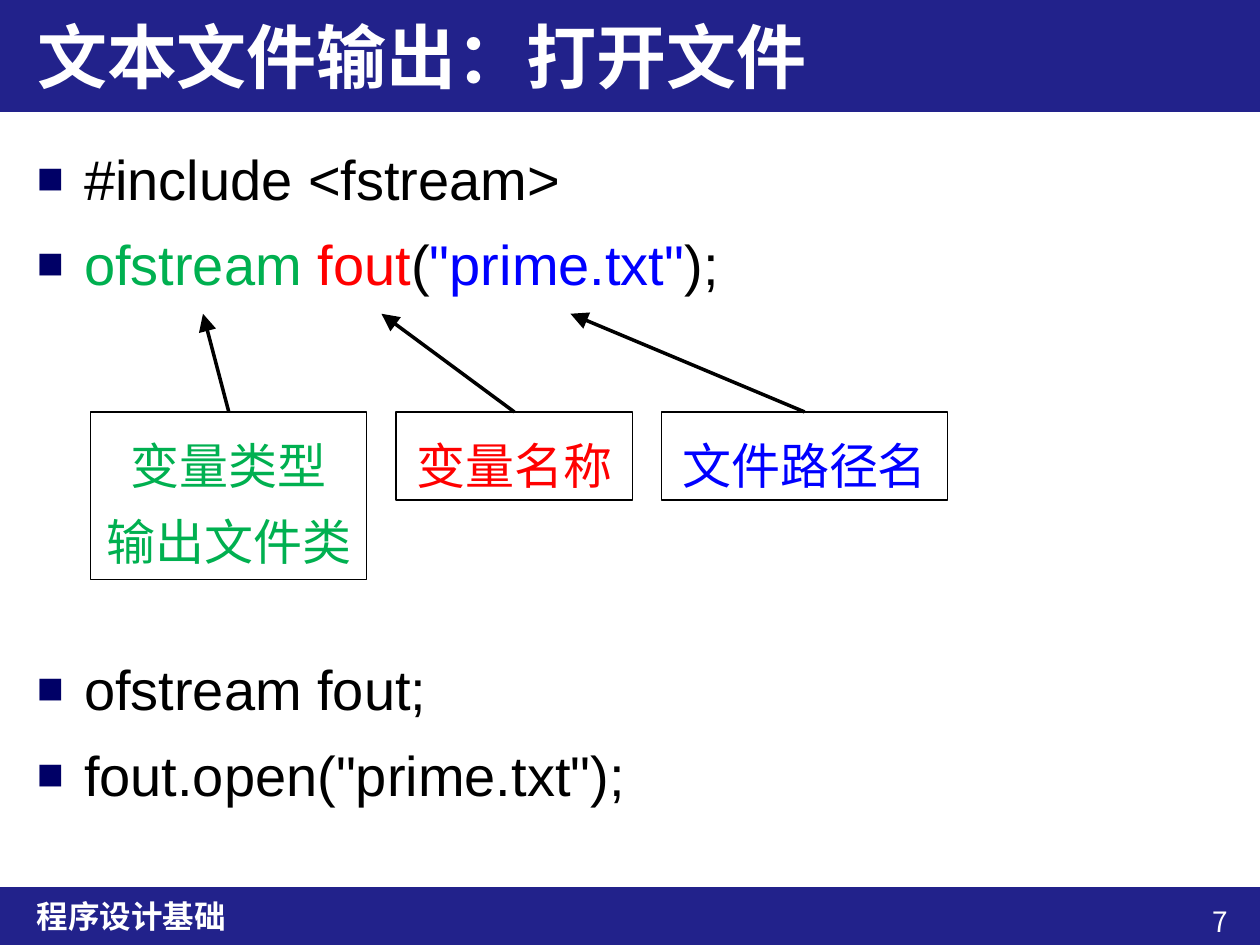
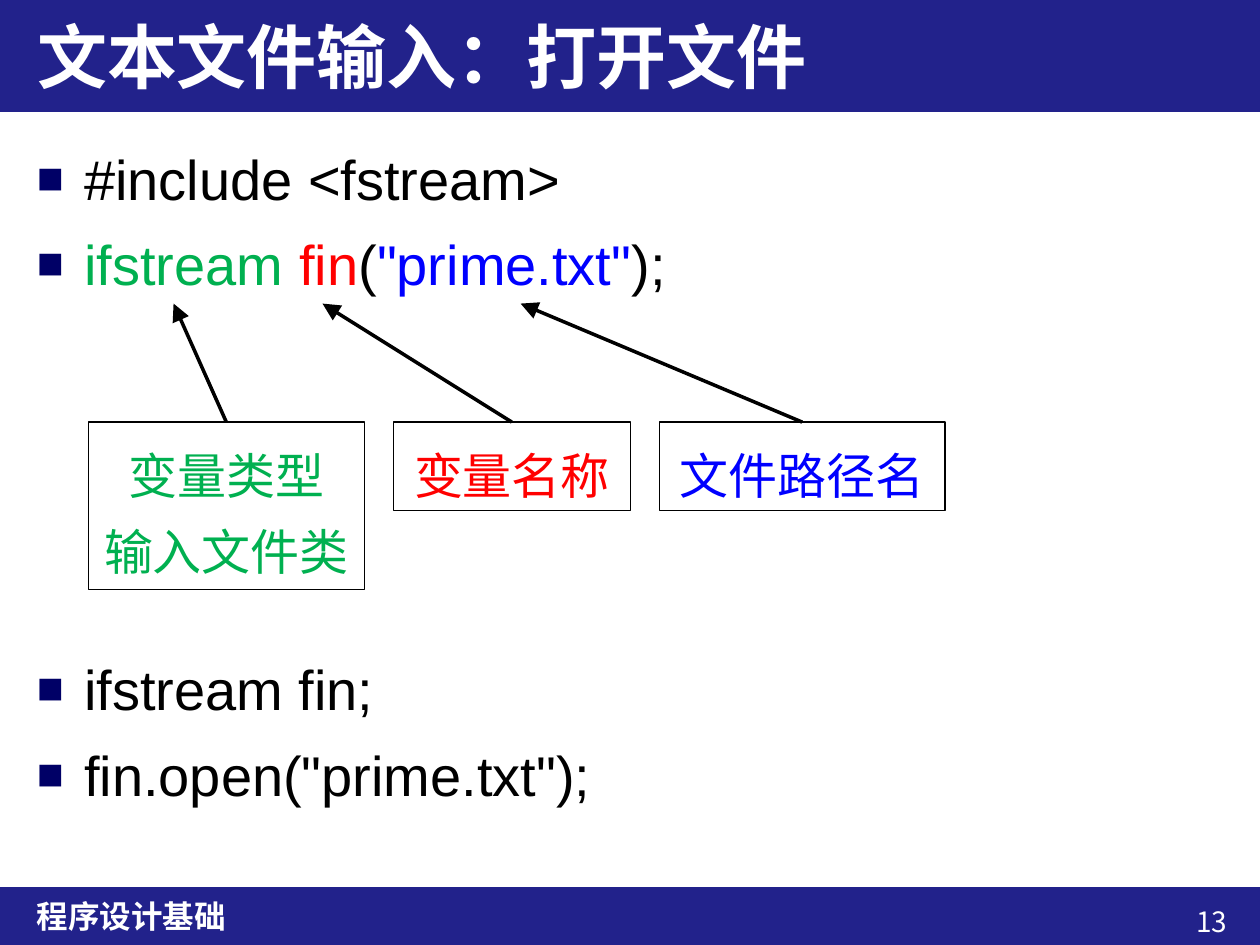
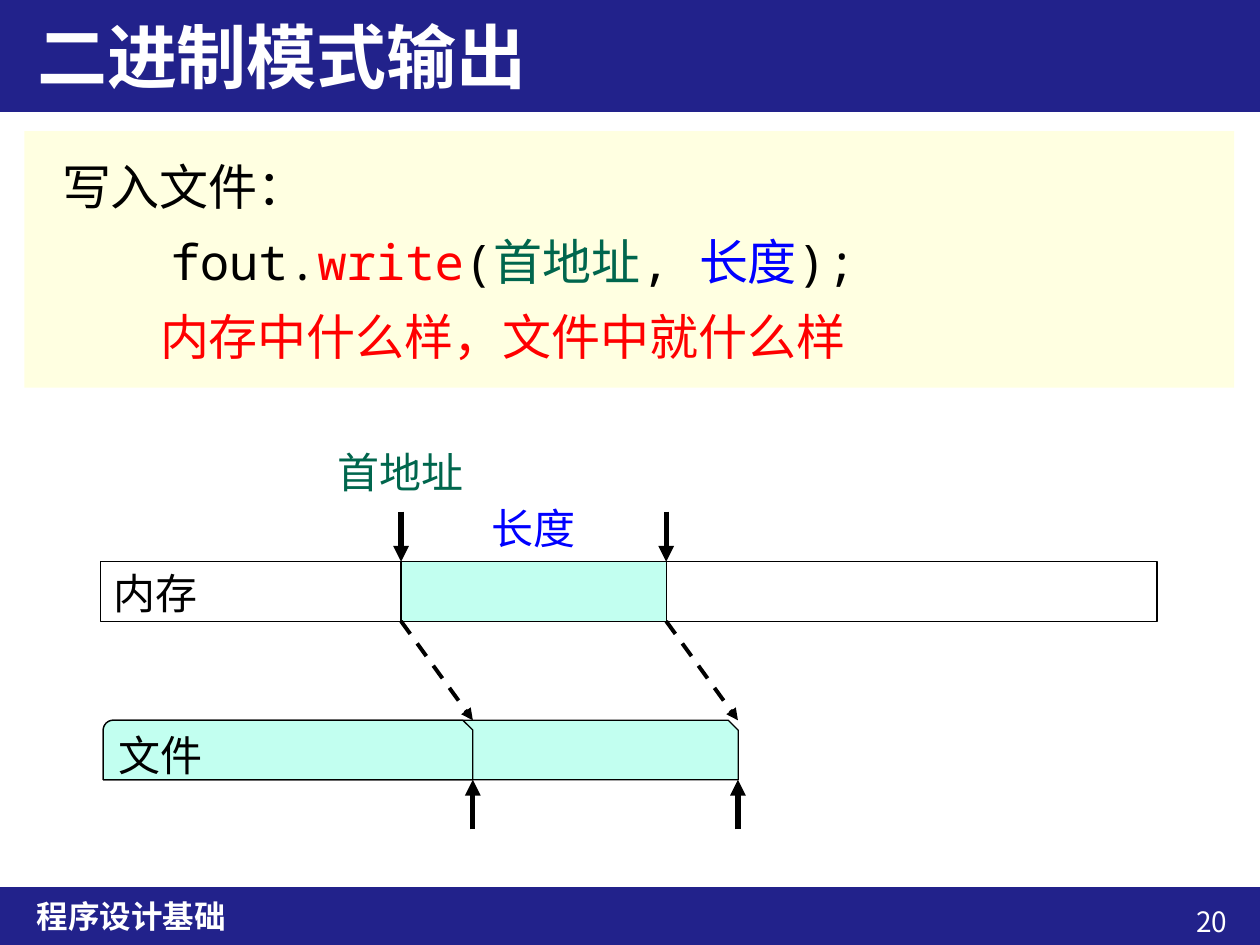
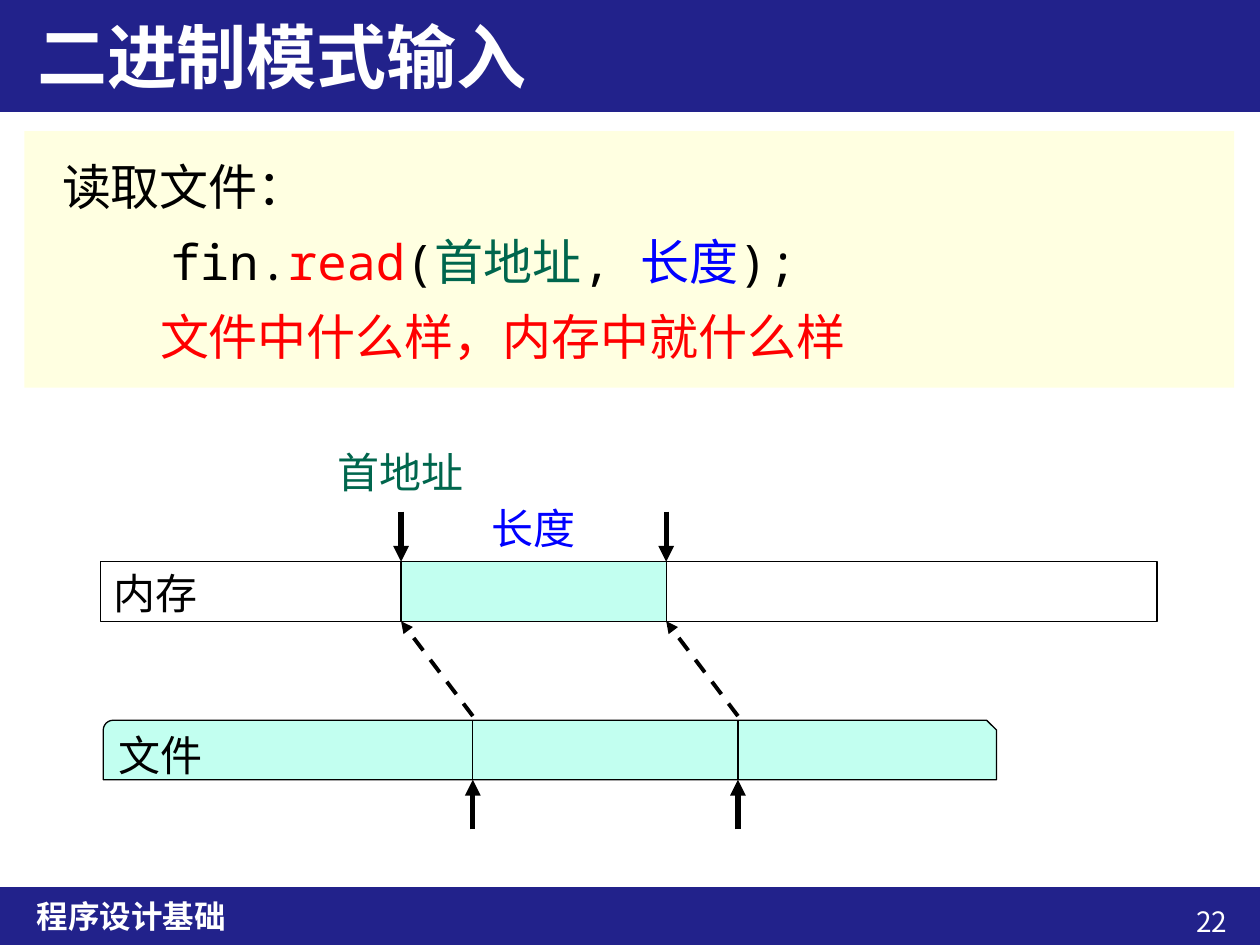
from lxml import etree
from pptx import Presentation
from pptx.dml.color import RGBColor
from pptx.enum.dml import MSO_LINE
from pptx.enum.shapes import MSO_CONNECTOR, MSO_SHAPE
from pptx.enum.text import MSO_ANCHOR, PP_ALIGN
from pptx.oxml.ns import qn
from pptx.util import Pt

RECT, SNIP = MSO_SHAPE.RECTANGLE, MSO_SHAPE.SNIP_ROUND_RECTANGLE
STRAIGHT, DASH = MSO_CONNECTOR.STRAIGHT, MSO_LINE.DASH
TOP, MIDDLE = MSO_ANCHOR.TOP, MSO_ANCHOR.MIDDLE
LEFT, CENTER, RIGHT = PP_ALIGN.LEFT, PP_ALIGN.CENTER, PP_ALIGN.RIGHT

CJK, LATIN, MONO = "Noto Sans CJK SC", "Arial", "Noto Sans Mono"
NAVY, BULLET, WHITE, BLACK = "22228B", "000066", "FFFFFF", "000000"
GREEN, RED, BLUE, TEAL = "00B050", "FF0000", "0000FF", "00664D"
CREAM, MINT = "FFFFE1", "C2FFF0"

WIDTH, HEIGHT = 720, 540
MARGIN, CONTENT_WIDTH = 14, 691.2
TITLE_HEIGHT, FOOTER_TOP = 64, 507
COURSE = "程序设计基础"


def rgb(color):
    return RGBColor.from_string(color)


# Basic parts

def write(frame, lines, size=24, color=BLACK, font=CJK, bold=False,
          align=LEFT, anchor=TOP, spacing=None, before=0, bullet=False):
    """Each line is a string, or a list of (text, color) runs, or a dict
    with "runs" and its own "font", "indent" or "before"."""
    frame.word_wrap = True
    frame.vertical_anchor = anchor
    for number, line in enumerate(lines):
        own = line if isinstance(line, dict) else {"runs": line}
        runs = own["runs"]
        if isinstance(runs, str):
            runs = [(runs, color)]
        para = frame.paragraphs[0] if number == 0 else frame.add_paragraph()
        para.alignment = align
        if spacing:
            para.line_spacing = spacing
        if number:
            para.space_before = Pt(own.get("before", before))
        if bullet:
            add_bullet(para)
        elif "indent" in own:
            para._p.get_or_add_pPr().set("marL", str(Pt(own["indent"])))
        for text, run_color in runs:
            run = para.add_run()
            run.text = text
            run.font.name = own.get("font", font)
            run.font.size = Pt(size)
            run.font.bold = bold
            run.font.color.rgb = rgb(run_color)
            east_asian = etree.Element(qn("a:ea"), typeface=CJK)
            run.font._element.find(qn("a:latin")).addnext(east_asian)


def add_bullet(para):
    props = para._p.get_or_add_pPr()
    props.set("marL", str(Pt(27)))
    props.set("indent", str(Pt(-27)))
    bullet_color = etree.SubElement(props, qn("a:buClr"))
    etree.SubElement(bullet_color, qn("a:srgbClr"), val=BULLET)
    etree.SubElement(props, qn("a:buSzPct"), val="80000")
    etree.SubElement(props, qn("a:buFont"), typeface=LATIN)
    etree.SubElement(props, qn("a:buChar"), char="■")


def add_text(slide, box, lines, **formats):
    area = slide.shapes.add_textbox(*map(Pt, box))
    write(area.text_frame, lines, **formats)
    return area


def add_block(slide, box, fill=None, line=None, preset=RECT):
    block = slide.shapes.add_shape(preset, *map(Pt, box))
    block.shadow.inherit = False
    if fill:
        block.fill.solid()
        block.fill.fore_color.rgb = rgb(fill)
    else:
        block.fill.background()
    if line:
        block.line.color.rgb = rgb(line)
        block.line.width = Pt(0.75)
    else:
        block.line.fill.background()
    return block


def add_arrow(slide, start, end, width, dashed=False, head="med"):
    arrow = slide.shapes.add_connector(STRAIGHT, *map(Pt, (*start, *end)))
    arrow.line.color.rgb = rgb(BLACK)
    arrow.line.width = Pt(width)
    if dashed:
        arrow.line.dash_style = DASH
    etree.SubElement(arrow.line._get_or_add_ln(), qn("a:tailEnd"),
                     type="triangle", w=head, len=head)
    etree.SubElement(arrow._element.spPr, qn("a:effectLst"))
    return arrow


# Shared slide frame

def new_slide(deck, heading, page):
    slide = deck.slides.add_slide(deck.slide_layouts[5])
    title = slide.shapes.title
    title.left, title.top = Pt(MARGIN), Pt(0)
    title.width, title.height = Pt(CONTENT_WIDTH), Pt(TITLE_HEIGHT)
    write(title.text_frame, [heading], size=40, color=WHITE, bold=True, anchor=MIDDLE)
    footer_height = HEIGHT - FOOTER_TOP
    for top, height in ((0, TITLE_HEIGHT), (FOOTER_TOP, footer_height)):
        band = add_block(slide, (0, top, WIDTH, height), fill=NAVY)
        title.element.addprevious(band.element)  # bands lie behind the title
    add_text(slide, (MARGIN, FOOTER_TOP, CONTENT_WIDTH, footer_height), [COURSE],
             size=18, color=WHITE, bold=True, anchor=MIDDLE)
    add_text(slide, (618.5, 513.2, 90, 26.6), [str(page)],
             size=16, color=WHITE, align=RIGHT)
    return slide


# Opening a text file: code lines with labelled parts

def opening_code(slide, box, stream, variable):
    call = [(stream + " ", GREEN), (variable, RED), ("(", BLACK),
            ('"prime.txt"', BLUE), (");", BLACK)]
    code = ["#include <fstream>", call,
            {"runs": f"{stream} {variable};", "before": 200.7},
            f'{variable}.open("prime.txt");']
    add_text(slide, box, code, size=32, font=LATIN, spacing=1.1,
             before=6.4, bullet=True)


def code_labels(slide, left, top, file_class, targets, target_y):
    labels = [(0, 157.7, 95.8, GREEN, ["变量类型", file_class]),
              (174.3, 135.4, 50.4, RED, ["变量名称"]),
              (326.2, 163.4, 50.4, BLUE, ["文件路径名"])]
    for (offset, width, height, color, lines), target_x in zip(labels, targets):
        label = add_block(slide, (left + offset, top, width, height), line=BLACK)
        write(label.text_frame, lines, size=28, color=color, align=CENTER,
              spacing=Pt(43.4))
        pointer = add_arrow(slide, (left + offset + width / 2, top),
                            (target_x, target_y), 2, head="lg")
        pointer.begin_connect(label, 0)


def opening_slide(deck, heading, page, stream, variable, **labels):
    slide = new_slide(deck, heading, page)
    opening_code(slide, (MARGIN, 75.3, CONTENT_WIDTH, 420), stream, variable)
    code_labels(slide, **labels)


# Binary mode: call on a panel, memory and file strips below

def call_panel(slide, box, action, variable, method, remark):
    left, top, width, height = box
    add_block(slide, box, fill=CREAM)
    call = [(variable + ".", BLACK), (method, RED), ("(", BLACK),
            ("首地址", TEAL), (", ", BLACK), ("长度", BLUE), (");", BLACK)]
    add_text(slide, (left + 14.4, top + 1.6, width - 28.8, height - 10),
             [action, {"runs": call, "font": MONO, "indent": 62},
              {"runs": [(remark, RED)], "indent": 56}],
             size=28, spacing=Pt(42.9))


def memory_diagram(slide, left, top, file_width, reading):
    strip_height, segment = 34, 151.5
    memory_top, file_top = top + 69.2, top + 159.8
    memory_bottom, file_bottom = memory_top + strip_height, file_top + strip_height
    memory_start, file_start = left + 171.6, left + 212.6
    file_left = left + 1.4

    # File strip
    file_strip = add_block(slide, (file_left, file_top, file_width, strip_height),
                           MINT, BLACK, SNIP)
    if reading:
        add_block(slide, (file_start, file_top, segment, strip_height), MINT, BLACK)
    else:
        file_strip = add_block(
            slide, (file_left, file_top, file_start - file_left, strip_height),
            MINT, BLACK, SNIP)
    write(file_strip.text_frame, ["文件"])

    # Memory strip
    memory = add_block(slide, (left, memory_top, 603.6, strip_height), WHITE, BLACK)
    write(memory.text_frame, ["内存"])
    add_block(slide, (memory_start, memory_top, segment, strip_height), MINT, BLACK)
    add_text(slide, (memory_start - 54.4, top, 108, 36), ["首地址"],
             color=TEAL, align=CENTER)
    add_text(slide, (memory_start, top + 32, segment, 36), ["长度"],
             color=BLUE, align=CENTER)

    # Arrows at both ends of the copied segment
    for offset in (0, segment):
        memory_x, file_x = memory_start + offset, file_start + offset
        add_arrow(slide, (memory_x, memory_top - 28.6), (memory_x, memory_top), 3)
        add_arrow(slide, (file_x, file_bottom + 28.4), (file_x, file_bottom), 3)
        if reading:
            ends = (file_x, file_top - 2.4), (memory_x, memory_bottom)
        else:
            ends = (memory_x, memory_bottom), (file_x, file_top)
        add_arrow(slide, *ends, 2.25, dashed=True)


def binary_slide(deck, heading, page, call, file_width, reading):
    slide = new_slide(deck, heading, page)
    call_panel(slide, (MARGIN, 75, CONTENT_WIDTH, 146.6), *call)
    memory_diagram(slide, 57.6, 251.8, file_width, reading)


def main():
    deck = Presentation()
    deck.slide_width, deck.slide_height = Pt(WIDTH), Pt(HEIGHT)
    opening_slide(deck, "文本文件输出：打开文件", 7, "ofstream", "fout",
                  left=51.9, top=235.4, file_class="输出文件类",
                  targets=(116, 218, 326), target_y=179.3)
    opening_slide(deck, "文本文件输入：打开文件", 13, "ifstream", "fin",
                  left=50.5, top=241.2, file_class="输入文件类",
                  targets=(99.2, 184.3, 297.5), target_y=173.5)
    binary_slide(deck, "二进制模式输出", 20,
                 ("写入文件：", "fout", "write", "内存中什么样，文件中就什么样"),
                 file_width=362.9, reading=False)
    binary_slide(deck, "二进制模式输入", 22,
                 ("读取文件：", "fin", "read", "文件中什么样，内存中就什么样"),
                 file_width=510.5, reading=True)
    deck.save("out.pptx")


if __name__ == "__main__":
    main()
